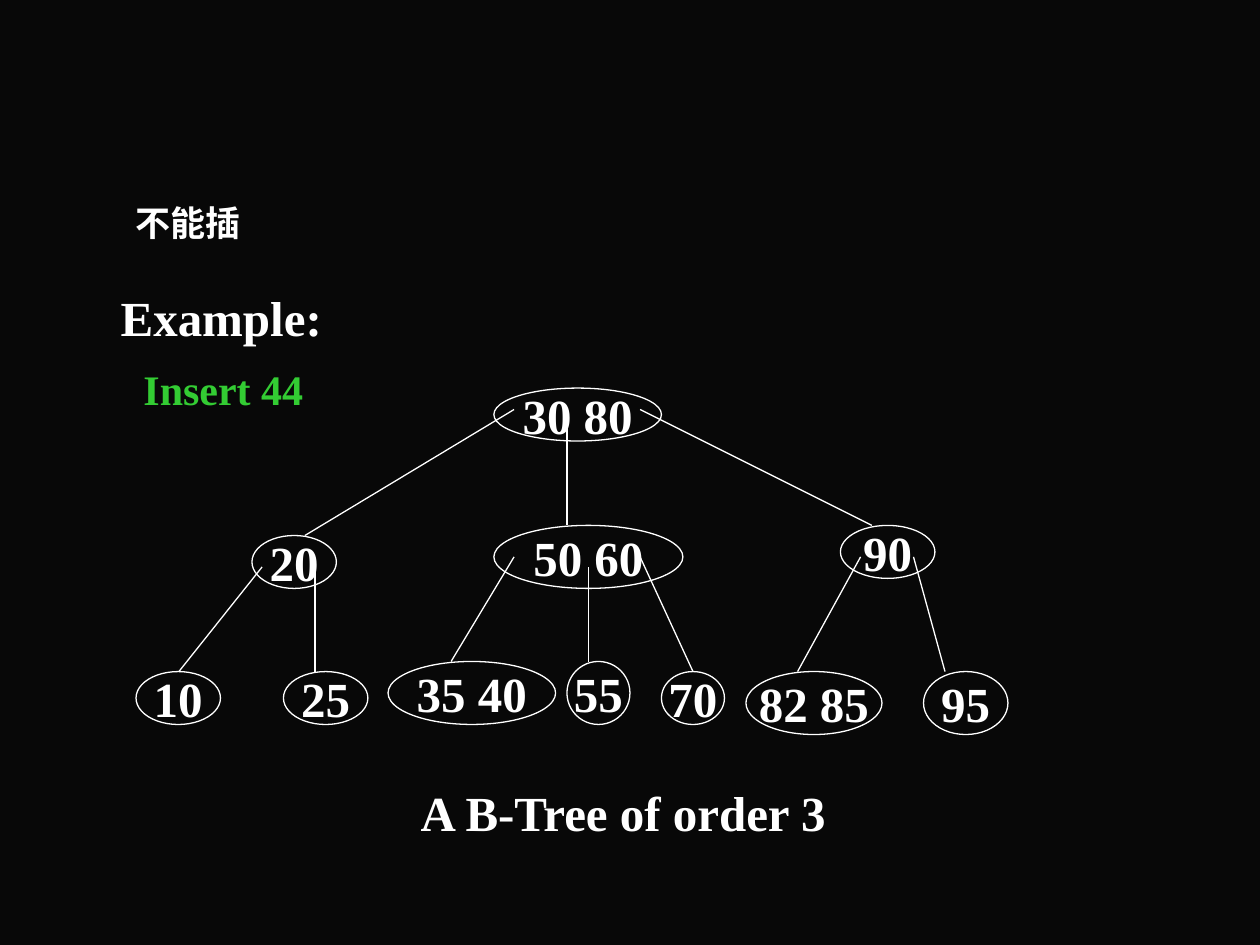
import pptx
import pptx.util
import pptx.dml.color
import pptx.enum.shapes
import pptx.enum.text
import pptx.oxml.ns
import lxml.etree

Inches = pptx.util.Inches
Pt = pptx.util.Pt
BLACK = pptx.dml.color.RGBColor(0x08, 0x08, 0x08)
WHITE = pptx.dml.color.RGBColor(0xFF, 0xFF, 0xFF)
GREEN = pptx.dml.color.RGBColor(0x33, 0xCC, 0x33)


def write_text(para, text, size=28, color=WHITE, centered=False, indent=0, before=0):
    """Fill a paragraph with one bold run."""
    if indent:
        para._p.get_or_add_pPr().set("marL", str(Inches(indent)))
    if centered:
        para.alignment = pptx.enum.text.PP_ALIGN.CENTER
    if before:
        para.space_before = Pt(before)
    span = para.add_run()
    span.text = text
    span.font.name = "Times New Roman"
    span.font.size = Pt(size)
    span.font.bold = True
    span.font.color.rgb = color


deck = pptx.Presentation()
deck.slide_width = Inches(10)
deck.slide_height = Inches(7.5)
page = deck.slides.add_slide(deck.slide_layouts[6])
page.background.fill.solid()
page.background.fill.fore_color.rgb = BLACK

# Example heading and the key to insert
box = page.shapes.add_textbox(Inches(0.75), Inches(2.23), Inches(8.5), Inches(4.44))
frame = box.text_frame
frame.word_wrap = True
write_text(frame.paragraphs[0], "Example:", indent=0.11)
write_text(frame.add_paragraph(), "Insert 44", size=24, color=GREEN, indent=0.29, before=10)

# Tree nodes: keys, left, top, width, height
tree = page.shapes.add_group_shape()
nodes = [
    ("30 80", 3.92, 3.08, 1.33, 0.42),
    ("20", 2.00, 4.25, 0.67, 0.42),
    ("50 60", 3.92, 4.17, 1.50, 0.50),
    ("90", 6.67, 4.17, 0.75, 0.42),
    ("10", 1.08, 5.33, 0.67, 0.42),
    ("25", 2.25, 5.33, 0.67, 0.42),
    ("35 40", 3.08, 5.25, 1.33, 0.50),
    ("55", 4.50, 5.25, 0.50, 0.50),
    ("70", 5.25, 5.33, 0.50, 0.42),
    ("82 85", 5.92, 5.33, 1.08, 0.50),
    ("95", 7.33, 5.33, 0.67, 0.50),
]
for keys, *bounds in nodes:
    node = tree.shapes.add_shape(
        pptx.enum.shapes.MSO_SHAPE.OVAL, *[Inches(length) for length in bounds])
    node.shadow.inherit = False
    node.fill.background()
    node.line.color.rgb = WHITE
    node.line.width = Pt(0.75)
    frame = node.text_frame
    frame.word_wrap = False
    frame.vertical_anchor = pptx.enum.text.MSO_ANCHOR.MIDDLE
    write_text(frame.paragraphs[0], keys, centered=True)

# Tree branches: start x, start y, end x, end y
branches = [
    (4.08, 3.25, 2.42, 4.25),
    (4.50, 3.33, 4.50, 4.17),
    (5.08, 3.25, 6.92, 4.17),
    (2.08, 4.50, 1.42, 5.33),
    (2.50, 4.50, 2.50, 5.33),
    (4.08, 4.42, 3.58, 5.25),
    (4.67, 4.50, 4.67, 5.25),
    (5.08, 4.42, 5.50, 5.33),
    (6.83, 4.42, 6.33, 5.33),
    (7.25, 4.42, 7.50, 5.33),
]
for ends in branches:
    branch = tree.shapes.add_connector(
        pptx.enum.shapes.MSO_CONNECTOR.STRAIGHT, *[Inches(length) for length in ends])
    branch.line.color.rgb = WHITE
    branch.line.width = Pt(0.75)
    lxml.etree.SubElement(branch._element.spPr, pptx.oxml.ns.qn("a:effectLst"))

# Caption below the tree
caption = page.shapes.add_textbox(Inches(3.24), Inches(6.16), Inches(3.48), Inches(0.57))
caption.text_frame.word_wrap = False
write_text(caption.text_frame.paragraphs[0], "A B-Tree of order 3")

# Remark above the example
remark = page.shapes.add_textbox(Inches(0.98), Inches(1.55), Inches(1.81), Inches(0.44))
remark.text_frame.word_wrap = True
write_text(remark.text_frame.paragraphs[0], "不能插", size=20)

deck.save("out.pptx")
